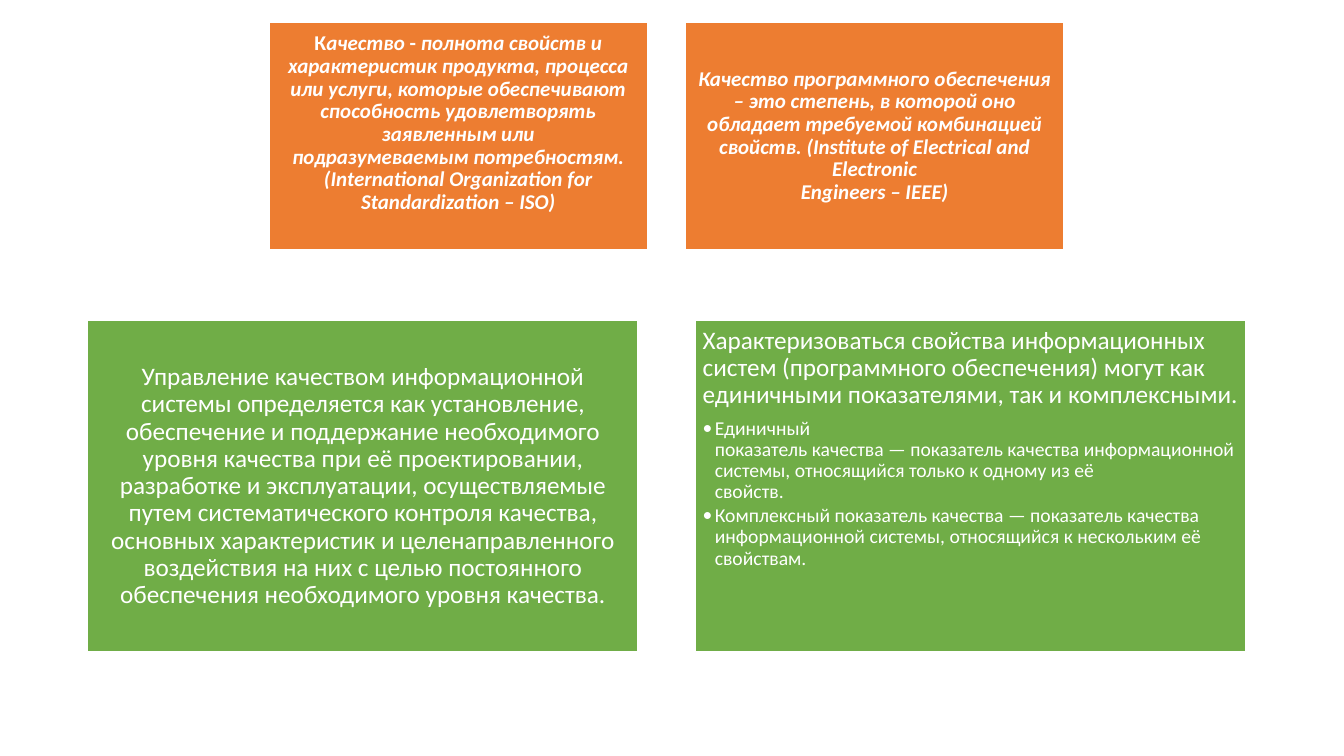
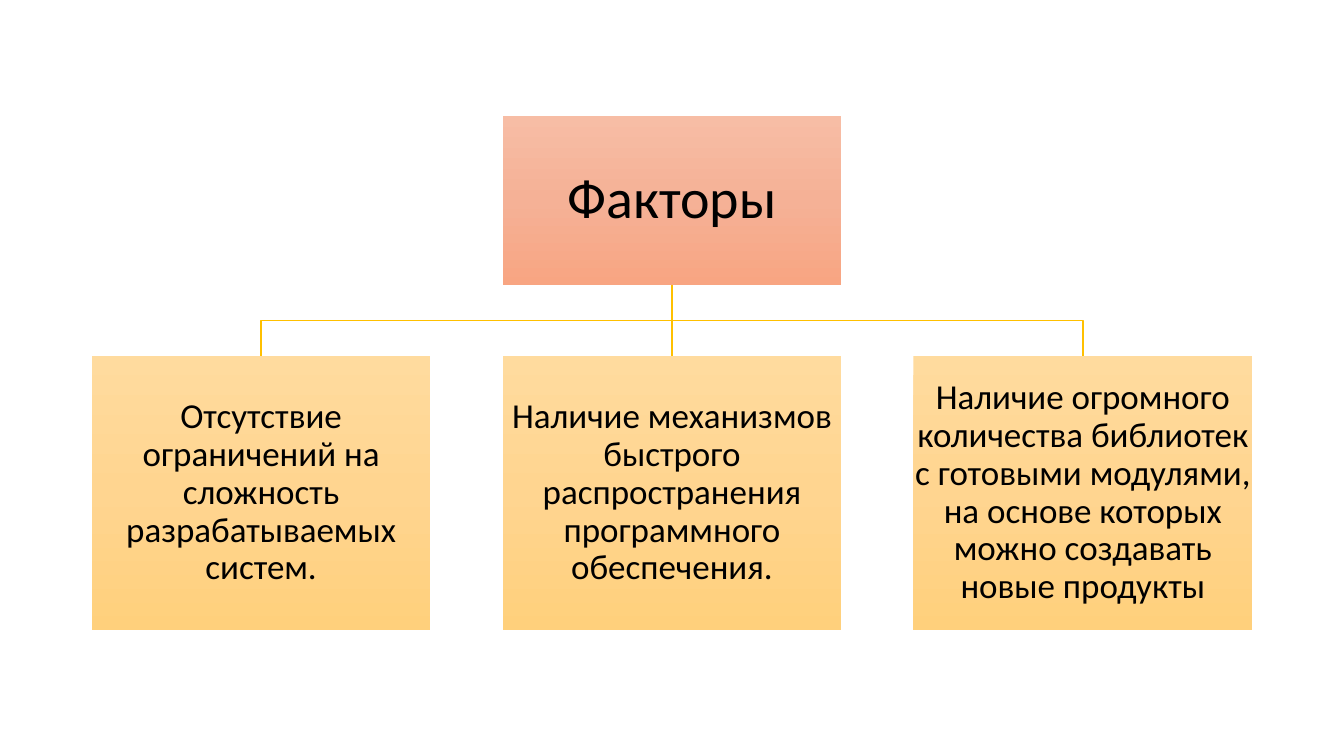
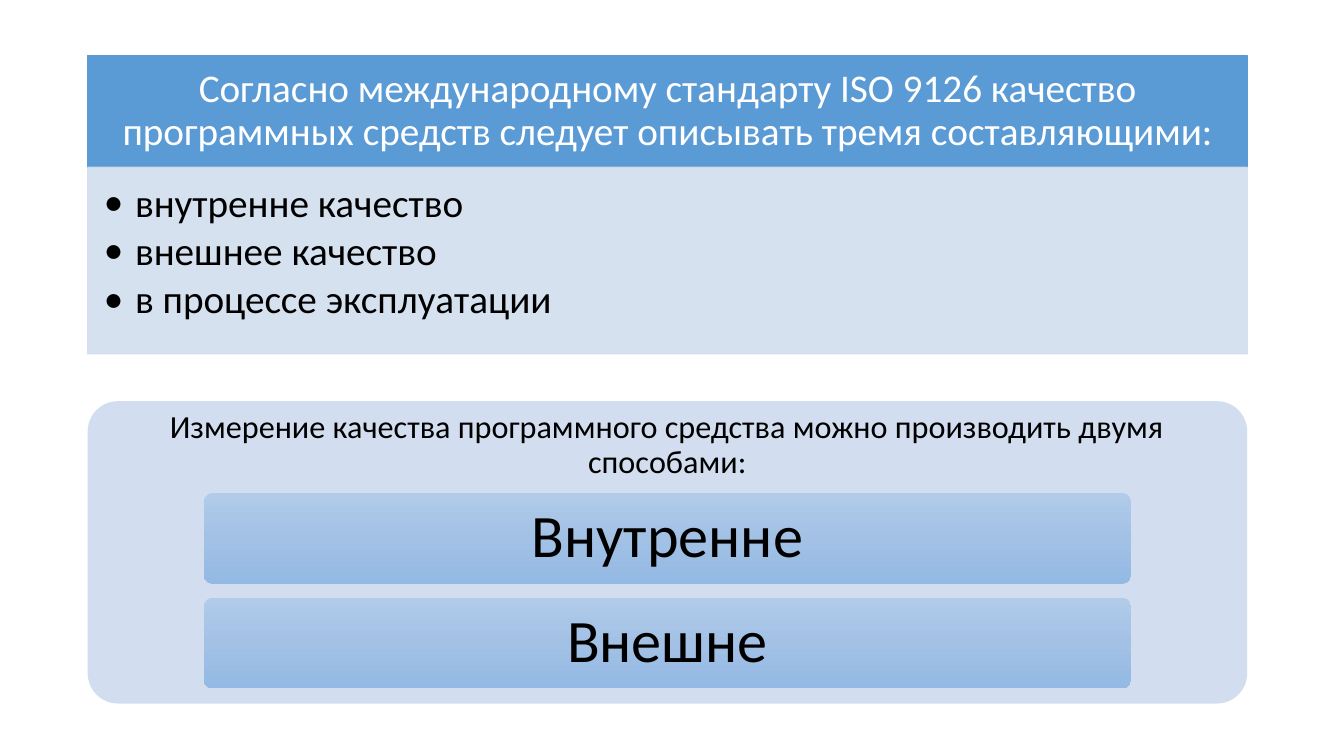
import copy

import pptx
import pptx.dml.color
import pptx.enum.shapes
import pptx.enum.text
import pptx.oxml.ns
import pptx.util
from lxml import etree

Inches = pptx.util.Inches
RGBColor = pptx.dml.color.RGBColor
qn = pptx.oxml.ns.qn
Shape = pptx.enum.shapes.MSO_SHAPE
Align = pptx.enum.text.PP_ALIGN
Anchor = pptx.enum.text.MSO_ANCHOR

FONT = "Calibri"
WHITE = RGBColor(0xFF, 0xFF, 0xFF)
BLACK = RGBColor(0x00, 0x00, 0x00)
ORANGE = RGBColor(0xED, 0x7D, 0x31)
GREEN = RGBColor(0x70, 0xAD, 0x47)
GOLD = RGBColor(0xFF, 0xC0, 0x00)
BLUE = RGBColor(0x5B, 0x9B, 0xD5)
PALE_BLUE = RGBColor(0xD2, 0xDE, 0xEF)
# Gradients run from top to bottom
CORAL_FADE = [RGBColor(0xF7, 0xBD, 0xA5), RGBColor(0xF5, 0xB1, 0x96), RGBColor(0xF8, 0xA5, 0x82)]
AMBER_FADE = [RGBColor(0xFF, 0xDB, 0x9E), RGBColor(0xFF, 0xD5, 0x90), RGBColor(0xFF, 0xD0, 0x7C)]
BLUE_FADE = [RGBColor(0xB1, 0xCB, 0xE9), RGBColor(0xA3, 0xC1, 0xE5), RGBColor(0x93, 0xB9, 0xE4)]


# Shared building blocks
def fill_gradient(shape, colors):
    shape.fill.gradient()
    shape.fill.gradient_angle = 270
    stop_list = shape._element.spPr.find(qn("a:gradFill")).find(qn("a:gsLst"))
    stop_list.append(copy.deepcopy(stop_list[0]))
    for index, (stop, color) in enumerate(zip(shape.fill.gradient_stops, colors)):
        stop.color.rgb = color
        stop.position = index / (len(colors) - 1)


def set_opacity(shape, percent):
    for color in shape._element.spPr.iter(qn("a:srgbClr")):
        etree.SubElement(color, qn("a:alpha"), val=str(percent * 1000))


def add_box(slide, box, fill, line=None, insets=(0.1, 0.1, 0.1, 0.1),
            anchor=Anchor.MIDDLE, rounded=False):
    """Insets are left, top, right, bottom in inches; a list as fill is a gradient."""
    kind = Shape.ROUNDED_RECTANGLE if rounded else Shape.RECTANGLE
    shape = slide.shapes.add_shape(kind, *map(Inches, box))
    shape.shadow.inherit = False
    if rounded:
        shape.adjustments[0] = 0.1
    if isinstance(fill, list):
        fill_gradient(shape, fill)
    else:
        shape.fill.solid()
        shape.fill.fore_color.rgb = fill
    if line is None:
        shape.line.fill.background()
    else:
        shape.line.color.rgb = line
        shape.line.width = pptx.util.Pt(1)
    frame = shape.text_frame
    frame.word_wrap = True
    frame.vertical_anchor = anchor
    frame.margin_left, frame.margin_top, frame.margin_right, frame.margin_bottom = map(Inches, insets)
    return shape


def add_text(shape, text, size, color=BLACK, bold=False, italic=False,
             align=Align.CENTER, bullet_indent=None):
    """Add a paragraph; text is a string or a list of (string, italic) runs."""
    frame = shape.text_frame
    paragraph = frame.paragraphs[0]
    if paragraph.runs:
        paragraph = frame.add_paragraph()
    paragraph.alignment = align
    paragraph.line_spacing = 0.9
    paragraph.space_after = pptx.util.Pt(size * (0.15 if bullet_indent else 0.35))
    if bullet_indent:
        paragraph.level = 1
        properties = paragraph._p.get_or_add_pPr()
        properties.set("marL", str(Inches(bullet_indent)))
        properties.set("indent", str(-Inches(bullet_indent)))
        etree.SubElement(properties, qn("a:buFont"), typeface=FONT)
        etree.SubElement(properties, qn("a:buChar"), char="•")
    for run_text, run_italic in [(text, italic)] if isinstance(text, str) else text:
        for index, line in enumerate(run_text.split("\n")):
            if index:
                paragraph.add_line_break()
            run = paragraph.add_run()
            run.text = line
            run.font.name = FONT
            run.font.size = pptx.util.Pt(size)
            run.font.color.rgb = color
            run.font.bold = bold
            run.font.italic = run_italic
    # Line breaks take the format of the text around them
    for line_break in paragraph._p.findall(qn("a:br")):
        line_break.append(copy.deepcopy(run.font._element))


# Slide 1: definitions and management of quality
ISO_DEFINITION = [
    ("К", False), ("ачество ", True), ("- ", False),
    ("полнота свойств и характеристик продукта, процесса или услуги, которые обеспечивают "
     "способность удовлетворять заявленным или\nподразумеваемым потребностям. "
     "(International Organization for Standardization – ISO)", True)]
IEEE_DEFINITION = [
    ("Качество программного обеспечения – это степень, в которой оно обладает требуемой "
     "комбинацией свойств. (Institute of Electrical and Electronic\nEngineers – IEEE)", True)]
MANAGEMENT = (
    "Управление качеством информационной системы определяется как установление, обеспечение "
    "и поддержание необходимого уровня качества при её проектировании, разработке и "
    "эксплуатации, осуществляемые путем систематического контроля качества, основных "
    "характеристик и целенаправленного воздействия на них с целью постоянного обеспечения "
    "необходимого уровня качества.")
INDICATORS = (
    "Характеризоваться свойства информационных\nсистем (программного обеспечения) могут как "
    "единичными показателями, так и комплексными.")
INDICATOR_KINDS = [
    "Единичный\nпоказатель качества — показатель качества информационной системы, "
    "относящийся только к одному из её\nсвойств.",
    "Комплексный показатель качества — показатель качества информационной системы, "
    "относящийся к нескольким её свойствам."]


def add_definitions(slide, left, top, width, height, gap):
    column = (width - gap) / 2
    for index, (text, bottom) in enumerate([(ISO_DEFINITION, 0.31), (IEEE_DEFINITION, 0.06)]):
        card = add_box(slide, (left + index * (column + gap), top, column, height),
                       ORANGE, WHITE, (0.06, 0.06, 0.06, bottom))
        add_text(card, text, 15, WHITE, bold=True)


def add_management(slide, left, top, width, height, gap):
    column = (width - gap) / 2
    insets = (0.07,) * 4
    management = add_box(slide, (left, top, column, height), GREEN, WHITE, insets)
    add_text(management, MANAGEMENT, 18, WHITE)
    indicators = add_box(slide, (left + column + gap, top, column, height),
                         GREEN, WHITE, insets, Anchor.TOP)
    add_text(indicators, INDICATORS, 18, WHITE, align=Align.LEFT)
    for kind in INDICATOR_KINDS:
        add_text(indicators, kind, 14, WHITE, align=Align.LEFT, bullet_indent=0.12)


# Slide 2: tree of factors
FACTORS = [
    "Отсутствие ограничений на сложность разрабатываемых систем.",
    "Наличие механизмов быстрого распространения программного обеспечения.",
    "Наличие огромного количества библиотек с готовыми модулями, на основе которых "
    "можно создавать новые продукты"]


def add_branch(slide, root, factor):
    start_x, start_y = root.left + root.width // 2, root.top + root.height
    end_x, end_y = factor.left + factor.width // 2, factor.top
    if abs(start_x - end_x) < Inches(0.01):
        branch = slide.shapes.add_connector(
            pptx.enum.shapes.MSO_CONNECTOR.STRAIGHT, start_x, start_y, end_x, end_y)
        branch.begin_connect(root, 2)
        branch.end_connect(factor, 0)
        etree.SubElement(branch._element.spPr, qn("a:effectLst"))
    else:
        middle_y = (start_y + end_y) // 2
        builder = slide.shapes.build_freeform(start_x, start_y)
        builder.add_line_segments(
            [(start_x, middle_y), (end_x, middle_y), (end_x, end_y)], close=False)
        branch = builder.convert_to_shape()
        branch.shadow.inherit = False
        branch.fill.background()
    branch.line.color.rgb = GOLD
    branch.line.width = pptx.util.Pt(1)


def add_factor_tree(slide, left, top, width, height):
    card_width, root_height, factor_height = 3.36, 1.68, 2.72
    step = (width - card_width) / (len(FACTORS) - 1)
    root = add_box(slide, (left + (width - card_width) / 2, top, card_width, root_height),
                   CORAL_FADE, insets=(0.03,) * 4)
    add_text(root, "Факторы", 40)
    for index, text in enumerate(FACTORS):
        factor = add_box(
            slide, (left + index * step, top + height - factor_height, card_width, factor_height),
            AMBER_FADE, insets=(0.01, 0.02, 0.01, 0.02))
        add_text(factor, text, 25)
        add_branch(slide, root, factor)


# Slide 3: components and measurement of quality
def add_components(slide, left, top, width, height):
    header_height = 1.11
    header = add_box(slide, (left, top, width, header_height), BLUE, BLUE,
                     (0.22, 0.12, 0.22, 0.12))
    add_text(header, "Согласно международному стандарту ISO 9126 качество программных средств "
                     "следует описывать тремя составляющими:", 28, WHITE)
    body = add_box(slide, (left, top + header_height, width, height - header_height),
                   PALE_BLUE, PALE_BLUE, (0.16, 0.16, 0.22, 0.24), Anchor.TOP)
    set_opacity(body, 90)
    for component in ["внутренне качество", "внешнее качество", "в процессе эксплуатации"]:
        add_text(body, component, 28, align=Align.LEFT, bullet_indent=0.31)


def add_measurement(slide, left, top, width, height):
    title_height = bar_height = 0.9
    bar_width = width * 0.8
    panel = add_box(slide, (left, top, width, height), PALE_BLUE,
                    insets=(0.1, 0.01, 0.1, 0.1), anchor=Anchor.TOP, rounded=True)
    add_text(panel, "Измерение качества программного средства можно производить двумя способами:", 23)
    for index, method in enumerate(["Внутренне", "Внешне"]):
        bar_top = top + title_height + 0.01 + index * (bar_height + 0.14)
        bar = add_box(slide, (left + (width - bar_width) / 2, bar_top, bar_width, bar_height),
                      BLUE_FADE, insets=(0.12, 0.09, 0.12, 0.09), rounded=True)
        add_text(bar, method, 43)


def main():
    presentation = pptx.Presentation()
    presentation.slide_width, presentation.slide_height = Inches(13.33), Inches(7.5)
    quality, factors, standard = [
        presentation.slides.add_slide(presentation.slide_layouts[6]) for _ in range(3)]
    add_definitions(quality, 2.67, 0.22, 7.88, 2.26, gap=0.38)
    add_management(quality, 0.87, 3.18, 11.49, 3.29, gap=0.57)
    add_factor_tree(factors, 0.91, 1.15, 11.51, 5.1)
    add_components(standard, 0.87, 0.55, 11.5, 2.96)
    add_measurement(standard, 0.87, 3.98, 11.5, 3)
    presentation.save("out.pptx")


if __name__ == "__main__":
    main()
